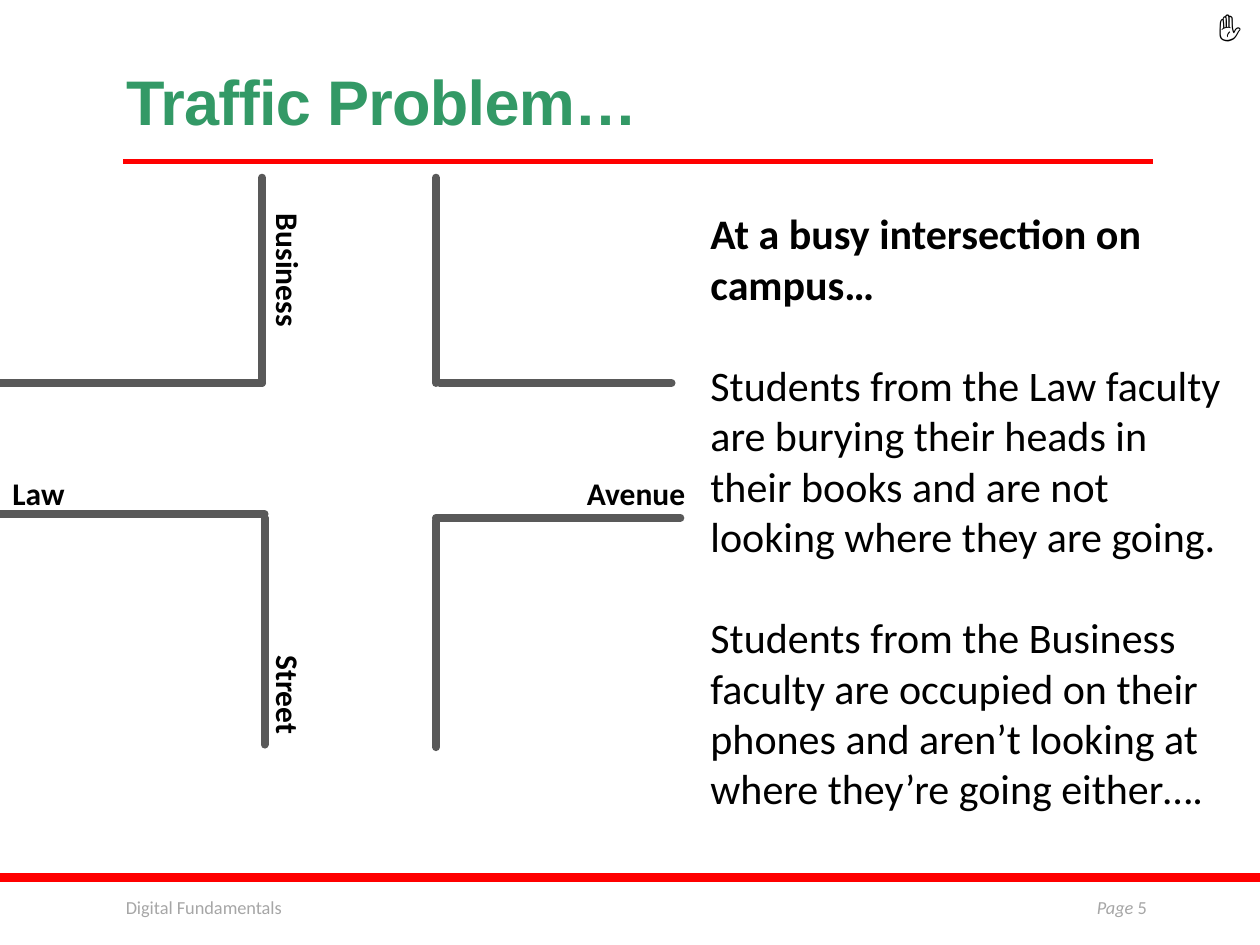
"""Build the traffic problem slide with its street diagram."""
from pptx import Presentation, util as u
from pptx.dml.color import RGBColor
from pptx.enum import shapes, text
from pptx.oxml.ns import qn
from lxml import etree

RED = RGBColor(0xFF, 0x00, 0x00)
GREEN = RGBColor(0x33, 0x99, 0x66)
ROAD = RGBColor(0x59, 0x59, 0x59)
GREY = RGBColor(0xA6, 0xA6, 0xA6)
BLACK = RGBColor(0x00, 0x00, 0x00)


def write(p, content, size=18, color=BLACK, bold=False, italic=False, font="Calibri"):
    r = p.add_run()
    r.text = content
    f = r.font
    f.name, f.size, f.bold, f.italic = font, u.Pt(size), bold, italic
    f.color.rgb = color
    return r


class Deck:
    def __init__(self):
        self.prs = Presentation()
        self.prs.slide_width, self.prs.slide_height = u.Inches(10), u.Inches(7.5)
        self.s = self.prs.slides.add_slide(self.prs.slide_layouts[5])

    def title(self, content, *box):
        sp = self.s.shapes.title
        sp.left, sp.top, sp.width, sp.height = map(u.Inches, box)
        tf = sp.text_frame
        tf.auto_size = text.MSO_AUTO_SIZE.NONE
        tf.vertical_anchor = text.MSO_ANCHOR.BOTTOM
        p = tf.paragraphs[0]
        p.alignment, p.line_spacing = text.PP_ALIGN.LEFT, 0.85
        r = write(p, content, 36, GREEN, True, font="Arial")
        r.font._element.set("spc", "-40")

    def bar(self, *box):
        sp = self.s.shapes.add_shape(shapes.MSO_SHAPE.RECTANGLE, *map(u.Inches, box))
        sp.shadow.inherit = False
        sp.fill.solid()
        sp.fill.fore_color.rgb = RED
        sp.line.fill.background()

    def line(self, *ends, color=ROAD, width=4.5, cap="rnd"):
        c = self.s.shapes.add_connector(shapes.MSO_CONNECTOR.STRAIGHT, *map(u.Inches, ends))
        c.line.color.rgb, c.line.width = color, u.Pt(width)
        c.line._get_or_add_ln().set("cap", cap)
        etree.SubElement(c._element.spPr, qn("a:effectLst"))

    def box(self, *box, wrap=True):
        sp = self.s.shapes.add_textbox(*map(u.Inches, box))
        sp.text_frame.word_wrap = wrap
        return sp

    def street(self, start, end, *box, tab, rotation=0):
        sp = self.box(*box)
        sp.rotation = rotation
        p = sp.text_frame.paragraphs[0]
        tabs = etree.SubElement(p._p.get_or_add_pPr(), qn("a:tabLst"))
        etree.SubElement(tabs, qn("a:tab"), pos=str(u.Inches(tab)), algn="r")
        write(p, f"{start}\t{end}", bold=True)


def main():
    d = Deck()
    d.bar(0, 6.93, 10, 0.07)
    d.line(0.98, 1.28, 9.15, 1.28, color=RED, width=3, cap="flat")
    for ends in (
        (2.08, 1.41, 2.08, 3.04), (2.08, 3.04, 0, 3.04),
        (3.46, 4.11, 5.4, 4.11), (3.46, 4.13, 3.46, 5.93),
        (5.33, 3.04, 3.49, 3.04), (3.46, 1.41, 3.46, 3.04),
        (2.1, 4.08, 0, 4.08), (2.1, 4.11, 2.1, 5.91),
    ):
        d.line(*ends)

    d.title("Traffic Problem…", 0.9, 0.31, 8.25, 0.84)
    footer = d.box(0.9, 7.06, 3.96, 0.4).text_frame.paragraphs[0]
    write(footer, "Digital Fundamentals", 10.5, GREY)
    page = d.box(8.12, 7.06, 1.08, 0.4).text_frame.paragraphs[0]
    page.alignment = text.PP_ALIGN.RIGHT
    write(page, "Page ", 10.5, GREY, italic=True)
    write(page, "5", 10.5, GREY)

    tf = d.box(5.54, 1.6, 4.38, 5.3).text_frame
    write(tf.paragraphs[0], "At a busy intersection on campus…", 24, bold=True)
    for story in (
        "Students from the Law faculty are burying their heads in their books "
        "and are not looking where they are going.",
        "Students from the Business faculty are occupied on their phones "
        "and aren’t looking at where they’re going either….",
    ):
        p = tf.add_paragraph()
        p.space_before = u.Pt(29)
        write(p, story, 24)

    d.street("Business", "Street", 0.09, 3.6, 4.4, 0.4, tab=4.13, rotation=90)
    d.street("Law", "Avenue", 0, 3.71, 5.69, 0.4, tab=5.34)
    hand = d.box(9.57, 0, 0.43, 0.4, wrap=False)
    write(hand.text_frame.paragraphs[0], "✋")
    d.prs.save("out.pptx")


if __name__ == "__main__":
    main()
